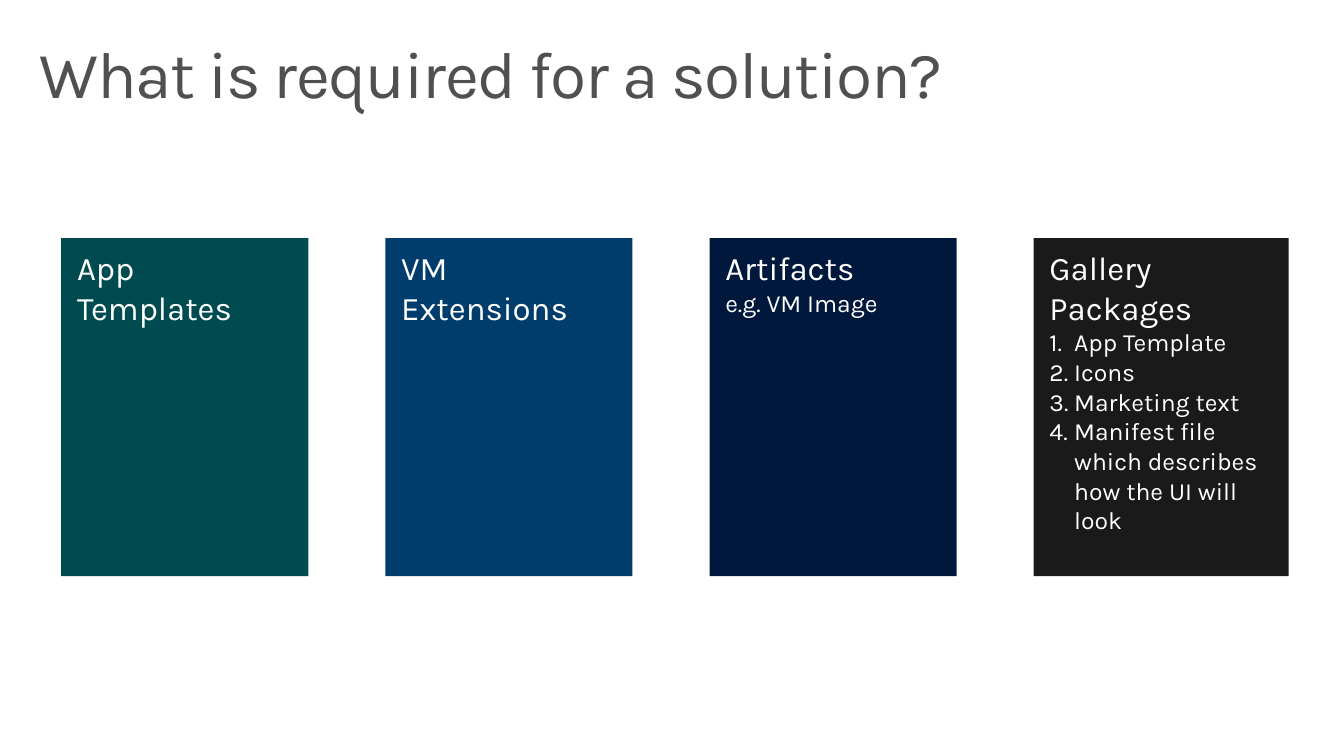
from lxml import etree
from pptx import Presentation
from pptx.dml.color import RGBColor
from pptx.enum.shapes import MSO_SHAPE
from pptx.enum.text import MSO_ANCHOR, MSO_AUTO_SIZE, PP_ALIGN
from pptx.oxml.ns import qn
from pptx.util import Inches, Pt

RECTANGLE = MSO_SHAPE.RECTANGLE
TOP = MSO_ANCHOR.TOP
LEFT = PP_ALIGN.LEFT
NO_FIT = MSO_AUTO_SIZE.NONE

FONT = "Karla"
WHITE = "FFFFFF"
GRAY = "505050"
TITLE_SIZE, HEADING_SIZE, DETAIL_SIZE = 48, 24, 18

GRID_LEFT, GRID_TOP = 0.62, 2.41
COLUMN_PITCH = 3.28
CARD_WIDTH, LAST_CARD_WIDTH, CARD_HEIGHT = 2.5, 2.58, 3.42
NUMBER_INDENT = 0.25

# Heading, fill, details, whether the details are numbered
CARDS = [
    ("App Templates", "004B50", [], False),
    ("VM Extensions", "003C6C", [], False),
    ("Artifacts", "00183C", ["e.g. VM Image"], False),
    ("Gallery Packages", "1A1A1A",
     ["App Template", "Icons", "Marketing text",
      "Manifest file which describes how the UI will look"], True),
]


def color(value):
    return RGBColor.from_string(value)


def set_frame(frame, side, edge):
    """Wrap text from the top, with side and edge insets in inches."""
    frame.word_wrap = True
    frame.auto_size = NO_FIT
    frame.vertical_anchor = TOP
    frame.margin_left = frame.margin_right = Inches(side)
    frame.margin_top = frame.margin_bottom = Inches(edge)


def add_span(para, text, size, value):
    span = para.add_run()
    span.text = text
    span.font.name = FONT
    span.font.size = Pt(size)
    span.font.color.rgb = color(value)
    para.alignment = LEFT
    return span


def number_paragraph(para):
    properties = para._p.get_or_add_pPr()
    properties.set("marL", str(Inches(NUMBER_INDENT)))
    properties.set("indent", str(-Inches(NUMBER_INDENT)))
    etree.SubElement(properties, qn("a:buFont"), typeface="+mj-lt")
    etree.SubElement(properties, qn("a:buAutoNum"), type="arabicPeriod")


def add_title(page, text):
    box = page.shapes.title
    box.left, box.top = Inches(0.3), Inches(0.32)
    box.width, box.height = Inches(13), Inches(1)
    set_frame(box.text_frame, 0.1, 0.1)
    para = box.text_frame.paragraphs[0]
    para.line_spacing = 0.9
    span = add_span(para, text, TITLE_SIZE, GRAY)
    span.font._element.set("spc", "-100")


def add_card(page, column, width, heading, fill, details, numbered):
    box = page.shapes.add_shape(
        RECTANGLE, Inches(GRID_LEFT + column * COLUMN_PITCH), Inches(GRID_TOP),
        Inches(width), Inches(CARD_HEIGHT))
    box.shadow.inherit = False
    box.fill.solid()
    box.fill.fore_color.rgb = color(fill)
    box.line.fill.background()
    frame = box.text_frame
    set_frame(frame, 0.16, 0.1)
    add_span(frame.paragraphs[0], heading, HEADING_SIZE, WHITE)
    for detail in details:
        para = frame.add_paragraph()
        if numbered:
            number_paragraph(para)
        add_span(para, detail, DETAIL_SIZE, WHITE)


def main():
    deck = Presentation()
    deck.slide_width, deck.slide_height = Inches(13.6), Inches(7.65)
    page = deck.slides.add_slide(deck.slide_layouts.get_by_name("Title Only"))
    add_title(page, "What is required for a solution?")
    for column, card in enumerate(CARDS):
        is_last = column == len(CARDS) - 1
        add_card(page, column, LAST_CARD_WIDTH if is_last else CARD_WIDTH, *card)
    deck.save("out.pptx")


if __name__ == "__main__":
    main()
